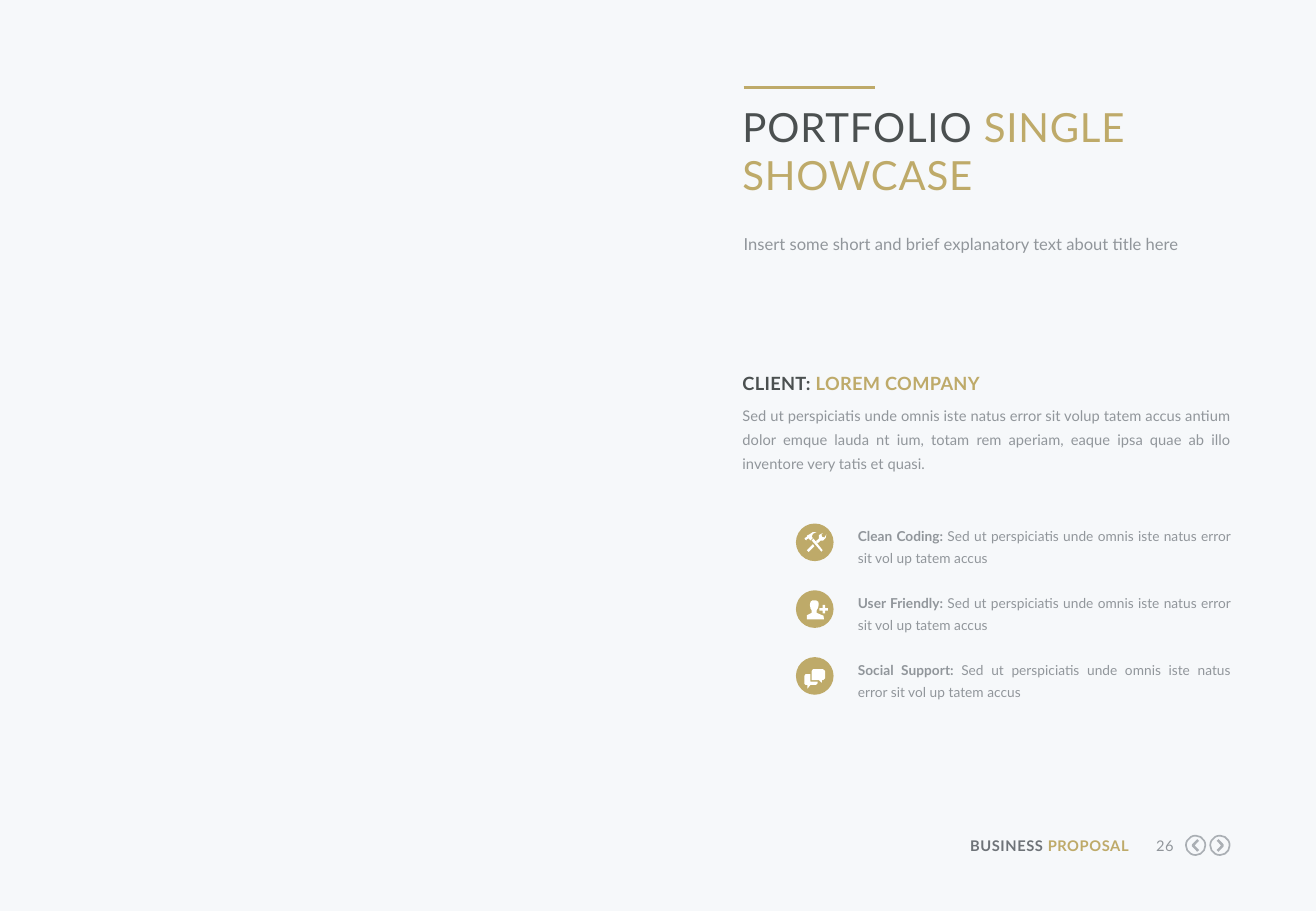
from pptx import Presentation
from pptx.dml.color import RGBColor
from pptx.enum.shapes import MSO_CONNECTOR, MSO_SHAPE
from pptx.enum.text import MSO_ANCHOR, MSO_AUTO_SIZE, PP_ALIGN
from pptx.oxml.ns import qn
from pptx.util import Inches, Pt
from lxml import etree

LEFT, RIGHT, JUSTIFY = PP_ALIGN.LEFT, PP_ALIGN.RIGHT, PP_ALIGN.JUSTIFY
TOP, NO_FIT = MSO_ANCHOR.TOP, MSO_AUTO_SIZE.NONE
OVAL, STRAIGHT = MSO_SHAPE.OVAL, MSO_CONNECTOR.STRAIGHT

FONT = "Lato"
GOLD, DARK, GREY = "BEAA69", "4B5050", "91969B"
FOOTER_GREY, NAV_GREY = "6E7378", "AAAFB4"
WHITE, BACKGROUND = "FFFFFF", "F6F8FA"
UNITS_PER_INCH = 1000

TOOLS = [
    [(90, 130), (105, 122), (120, 140), (140, 120), (130, 110), (140, 85), (170, 70),
     (140, 70), (110, 90), (90, 100), (90, 110), (70, 120), (75, 130), (85, 140)],
    [(130, 140), (145, 125), (220, 220), (210, 232)],
    [(250, 90), (235, 115), (215, 110), (210, 90), (222, 78), (190, 95),
     (188, 125), (165, 145), (180, 162), (202, 142), (225, 140), (245, 120)],
    [(90, 220), (140, 170), (152, 188), (105, 235)],
]
USER = [
    [(90, 240), (90, 205), (130, 185), (130, 165), (120, 150), (115, 120),
     (120, 95), (135, 82), (165, 82), (185, 95), (187, 120), (182, 145),
     (170, 165), (170, 185), (200, 198), (228, 210), (230, 240)],
    [(220, 120), (240, 120), (240, 147), (263, 147), (263, 167), (240, 167),
     (240, 190), (220, 190), (220, 167), (193, 167), (193, 147), (220, 147)],
]
CHAT = [
    [(70, 155), (80, 140), (120, 140), (120, 202), (180, 202), (180, 215), (165, 230),
     (120, 230), (95, 260), (95, 230), (80, 230), (70, 220)],
    [(130, 115), (140, 100), (225, 100), (240, 115), (240, 175), (225, 190),
     (215, 190), (215, 213), (190, 190), (130, 190)],
]
FEATURE_TEXT = "Sed ut perspiciatis unde omnis iste natus error sit vol up tatem accus"
FEATURES = [("Clean Coding: ", TOOLS), ("User Friendly: ", USER), ("Social Support: ", CHAT)]


def color(value):
    return RGBColor.from_string(value)


def place(shape, left, top, width, height):
    shape.left, shape.top = Inches(left), Inches(top)
    shape.width, shape.height = Inches(width), Inches(height)


def fill_text(shape, runs, size, align=LEFT, line_spacing=None, tracking=0, bold=False):
    frame = shape.text_frame
    frame.word_wrap = True
    frame.auto_size = NO_FIT
    frame.vertical_anchor = TOP
    frame.margin_left = frame.margin_right = frame.margin_top = frame.margin_bottom = 0
    paragraph = frame.paragraphs[0]
    paragraph.alignment = align
    paragraph.space_before = Pt(0)
    if line_spacing:
        paragraph.line_spacing = Pt(line_spacing)
    paragraph.font.name = FONT
    paragraph.font.size = Pt(size)
    paragraph.font.bold = bold
    for text, run_color, *run_bold in runs:
        run = paragraph.add_run()
        run.text = text
        run.font.color.rgb = color(run_color)
        if run_bold:
            run.font.bold = run_bold[0]
        if tracking:
            run.font._element.set("spc", str(round(tracking * 100)))


def add_text(slide, box, runs, size, **options):
    shape = slide.shapes.add_textbox(*map(Inches, box))
    fill_text(shape, runs, size, **options)


def add_disc(shapes, left, top, size):
    disc = shapes.add_shape(OVAL, Inches(left), Inches(top), Inches(size), Inches(size))
    disc.shadow.inherit = False
    return disc


def add_outline(shapes, left, top, contours, close=True):
    first, *others = contours
    builder = shapes.build_freeform(*first[0], scale=Inches(1) / UNITS_PER_INCH)
    builder.add_line_segments(first[1:], close=close)
    for contour in others:
        builder.move_to(*contour[0])
        builder.add_line_segments(contour[1:], close=close)
    shape = builder.convert_to_shape(Inches(left), Inches(top))
    shape.shadow.inherit = False
    return shape


def fill_plain(shape, value):
    shape.fill.solid()
    shape.fill.fore_color.rgb = color(value)
    shape.line.fill.background()


def stroke_plain(shape, value, width):
    shape.fill.background()
    shape.line.color.rgb = color(value)
    shape.line.width = Pt(width)


def add_icon(slide, left, top, contours):
    shapes = slide.shapes.add_group_shape().shapes
    fill_plain(add_disc(shapes, left, top, 0.31), GOLD)
    fill_plain(add_outline(shapes, left, top, contours), WHITE)


def add_feature(slide, top, label, contours):
    add_icon(slide, 6.55, top, contours)
    runs = [(label, GREY, True), (FEATURE_TEXT, GREY)]
    add_text(slide, (7.06, top - 0.01, 3.07, 0.36), runs, 8.1,
             align=JUSTIFY, line_spacing=13)


def add_navigation(slide, left, top, chevron):
    shapes = slide.shapes.add_group_shape().shapes
    stroke_plain(add_disc(shapes, left + 0.01, top + 0.01, 0.16), NAV_GREY, 1)
    stroke_plain(add_outline(shapes, left, top, [chevron], close=False), NAV_GREY, 1.5)


def add_rule(slide, left, top, right):
    rule = slide.shapes.add_connector(
        STRAIGHT, Inches(left), Inches(top), Inches(right), Inches(top))
    rule.line.color.rgb = color(GOLD)
    rule.line.width = Pt(2.25)
    etree.SubElement(rule._element.spPr, qn("a:effectLst"))


def add_heading(slide):
    title, subtitle = slide.placeholders
    place(title, 6.11, 0.84, 4.02, 0.92)
    fill_text(title, [("PORTFOLIO ", DARK), ("SINGLE SHOWCASE", GOLD)], 23.8, tracking=0.5)
    place(subtitle, 6.12, 1.91, 4.02, 0.21)
    properties = subtitle.text_frame.paragraphs[0]._p.get_or_add_pPr()
    properties.set("marL", "0")
    properties.set("indent", "0")
    etree.SubElement(properties, qn("a:buNone"))
    text = "Insert some short and brief explanatory text about title here"
    fill_text(subtitle, [(text, GREY)], 9.8, line_spacing=13)


def add_client(slide):
    add_text(slide, (6.11, 2.99, 4.02, 0.25), [("CLIENT: ", DARK), ("LOREM COMPANY", GOLD)],
             10.8, line_spacing=18.4, tracking=0.2, bold=True)
    text = ("Sed ut perspiciatis unde omnis iste natus error sit volup tatem accus antium "
            "dolor emque lauda nt ium, totam rem aperiam, eaque ipsa quae ab illo "
            "inventore very tatis et quasi.")
    add_text(slide, (6.11, 3.3, 4.02, 0.59), [(text, GREY)], 8.7,
             align=JUSTIFY, line_spacing=14.1)


def add_footer(slide):
    add_text(slide, (7.92, 6.89, 1.37, 0.15), [("BUSINESS ", FOOTER_GREY), ("PROPOSAL", GOLD)],
             8.7, align=RIGHT, tracking=0.3, bold=True)
    add_text(slide, (9.41, 6.89, 0.25, 0.15), [("26", GREY)], 8.7, align=RIGHT, tracking=0.3)
    forward = [(70, 45), (113, 90), (70, 135)]
    back = [(180 - x, y) for x, y in forward]
    add_navigation(slide, 9.75, 6.87, back)
    add_navigation(slide, 9.95, 6.87, forward)


def main():
    presentation = Presentation()
    presentation.slide_width, presentation.slide_height = Inches(10.83), Inches(7.5)
    slide = presentation.slides.add_slide(presentation.slide_layouts[1])
    slide.background.fill.solid()
    slide.background.fill.fore_color.rgb = color(BACKGROUND)
    add_rule(slide, 6.12, 0.72, 7.2)
    add_heading(slide)
    add_client(slide)
    for index, (label, contours) in enumerate(FEATURES):
        add_feature(slide, 4.31 + 0.55 * index, label, contours)
    add_footer(slide)
    presentation.save("out.pptx")


if __name__ == "__main__":
    main()
